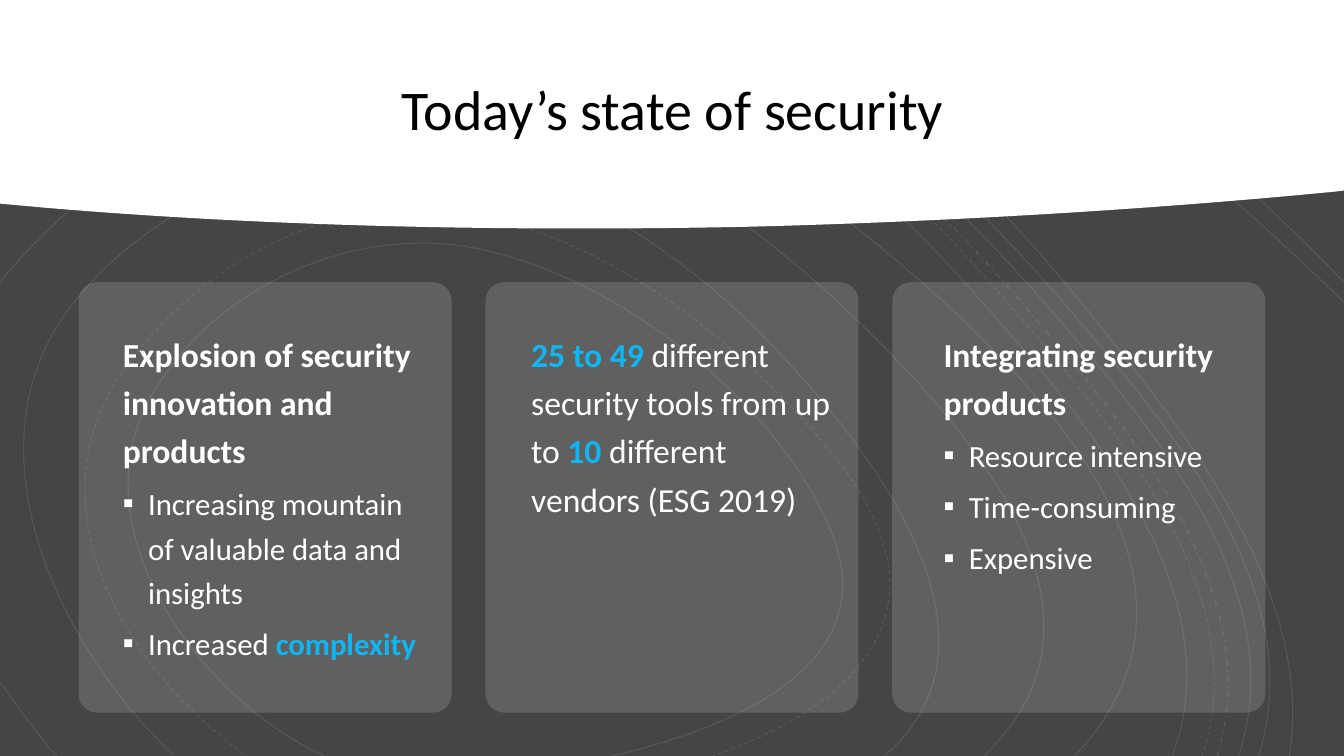
from lxml import etree
from pptx import Presentation
from pptx.dml.color import RGBColor
from pptx.enum.dml import MSO_LINE
from pptx.enum.shapes import MSO_SHAPE
from pptx.enum.text import MSO_ANCHOR, PP_ALIGN
from pptx.oxml.ns import qn
from pptx.util import Inches, Pt

WHITE = RGBColor(0xFF, 0xFF, 0xFF)
BLACK = RGBColor(0, 0, 0)
GREY = RGBColor(0x45, 0x45, 0x45)
BLUE = RGBColor(0x10, 0xB6, 0xF4)
SOLID, DASH, DOTTED = MSO_LINE.SOLID, MSO_LINE.DASH, MSO_LINE.DASH_DOT
RECT, ROUND = MSO_SHAPE.RECTANGLE, MSO_SHAPE.ROUNDED_RECTANGLE
TOP, MIDDLE = MSO_ANCHOR.TOP, MSO_ANCHOR.MIDDLE
LEFT, CENTER = PP_ALIGN.LEFT, PP_ALIGN.CENTER

# Each curve: dash, then a start point followed by triples of Bezier points
CURVES = [
    (SOLID, [(8.76, 7.51), (10.25, 6.25), (8.35, 4.09), (7.38, 3.15),
             (6.49, 2.3), (5.36, 1.64), (4.12, 1.53), (2.87, 1.41),
             (1.41, 2.08), (0.68, 3.07), (-0.36, 4.47), (0.6, 6.44), (1.72, 7.49)]),
    (SOLID, [(6.07, 7.5), (7.1, 7.26), (8.8, 6.67), (8.25, 5.29),
             (7.73, 3.99), (6.15, 2.78), (4.8, 2.48), (3.57, 2.2),
             (2.16, 2.81), (1.51, 3.91), (0.73, 5.24), (2, 6.95), (3.22, 7.5)]),
    (DASH, [(7.05, 7.51), (7.65, 7.29), (8.35, 6.96), (8.67, 6.38),
            (9.06, 5.68), (8.64, 4.95), (8.17, 4.4), (7.23, 3.29),
            (5.92, 2.27), (4.43, 2.09), (3.19, 1.95), (1.93, 2.67),
            (1.22, 3.68), (0.27, 5.04), (1.27, 6.68), (2.46, 7.51)]),
    (SOLID, [(9.75, 7.51), (11.3, 6.04), (9.5, 4.13), (8.38, 3.06),
             (7.32, 2.06), (6.03, 1.2), (4.58, 0.92), (2.84, 0.59), (1.11, 1.43), (0, 2.8)]),
    (SOLID, [(0, 6.76), (0.19, 7.04), (0.37, 7.28), (0.56, 7.5)]),
    (SOLID, [(10.65, 7.51), (12.13, 5.95), (10.67, 4.22), (9.44, 3.07),
             (8.17, 1.89), (6.67, 0.87), (4.98, 0.44), (2.98, -0.06), (1.52, 0.46), (0, 1.84)]),
    (SOLID, [(11.63, 7.49), (12.26, 5.81), (10.64, 4.01), (9.63, 2.87),
             (8.58, 1.7), (7.36, 0.66), (5.93, 0)]),
    (DASH, [(11.92, 7.51), (12.48, 5.86), (10.98, 4.15), (10, 3.01),
            (8.97, 1.81), (7.77, 0.73), (6.37, 0)]),
    (DOTTED, [(12.07, 7.51), (12.59, 5.85), (11.13, 4.17), (10.15, 3.02),
              (9.13, 1.83), (7.95, 0.75), (6.58, 0)]),
    (SOLID, [(12.28, 7.51), (12.83, 5.88), (11.44, 4.25), (10.46, 3.12),
             (9.41, 1.9), (8.2, 0.79), (6.79, -0.01)]),
    (SOLID, [(12.48, 7.51), (12.99, 5.9), (11.67, 4.32), (10.7, 3.18),
             (9.66, 1.95), (8.46, 0.83), (7.07, 0)]),
    (SOLID, [(12.79, 7.5), (13.03, 5.9), (11.82, 4.38), (10.9, 3.22),
             (9.93, 2), (8.81, 0.87), (7.52, 0)]),
    (SOLID, [(13.33, 3), (12.19, 1.88), (10.94, 0.85), (9.59, 0)]),
    (SOLID, [(13.33, 2.8), (12.2, 1.64), (11.12, 0.72), (10.1, 0)]),
]
# Header outline: straight corners, then the curved lower edge
CORNERS = [(0, 2.02), (0, 0), (13.33, 0), (13.33, 1.89), (13.25, 1.9)]
EDGE = [(11.09, 2.11), (9.01, 2.21), (7.39, 2.25),
        (5.4, 2.29), (2.91, 2.27), (0.44, 2.06)]

# Each card: text left, then paragraphs of (bullet, runs of (text, bold, colour))
CARDS = [
    (1.12, [(False, [("Explosion of security innovation and products", True, WHITE)]),
            (True, [("Increasing mountain of valuable data and insights", False, WHITE)]),
            (True, [("Increased ", False, WHITE), ("complexity", True, BLUE)])]),
    (5.17, [(False, [("25 to 49 ", True, BLUE),
                     ("different security tools from up to ", False, WHITE),
                     ("10", True, BLUE),
                     (" different vendors (ESG 2019)", False, WHITE)])]),
    (9.26, [(False, [("Integrating security products", True, WHITE)]),
            (True, [("Resource intensive", False, WHITE)]),
            (True, [("Time-consuming", False, WHITE)]),
            (True, [("Expensive", False, WHITE)])]),
]


class Deck:
    font = "Calibri"

    def __init__(self):
        self.prs = Presentation()
        self.prs.slide_width = Inches(13.33)
        self.prs.slide_height = Inches(7.5)
        self.slide = self.prs.slides.add_slide(self.prs.slide_layouts[6])

    def fade(self, shape, share):
        for tag in shape.element.spPr.iter(qn("a:srgbClr")):
            etree.SubElement(tag, qn("a:alpha")).set("val", str(share * 1000))

    def paint(self, shape, tint):
        shape.fill.solid()
        shape.fill.fore_color.rgb = tint
        shape.line.fill.background()

    def outline(self, knots, close=False, straight=0):
        """Draw straight lines first, then join each three points into a Bezier."""
        pts = [(Inches(x), Inches(y)) for x, y in knots]
        pen = self.slide.shapes.build_freeform(*pts[0])
        pen.add_line_segments(pts[1:], close=close)
        shape = pen.convert_to_shape()
        shape.shadow.inherit = False
        lines = list(shape.element.spPr.iter(qn("a:lnTo")))[straight:]
        for i in range(0, len(lines), 3):
            bend = etree.Element(qn("a:cubicBezTo"))
            lines[i].addprevious(bend)
            for line in lines[i:i + 3]:
                bend.append(line[0])
                line.getparent().remove(line)
        return shape

    def curve(self, dash, knots):
        shape = self.outline(knots)
        shape.fill.background()
        shape.line.color.rgb = WHITE
        shape.line.width = Pt(1 if dash == DOTTED else 0.75)
        shape.line.dash_style = dash
        self.fade(shape, 10)

    def band(self, corners, edge):
        self.paint(self.outline(corners + edge, True, len(corners) - 1), WHITE)

    def block(self, kind, box, tint):
        shape = self.slide.shapes.add_shape(kind, *map(Inches, box))
        shape.shadow.inherit = False
        self.paint(shape, tint)
        return shape

    def card(self, box):
        shape = self.block(ROUND, box, WHITE)
        shape.adjustments[0] = 0.05
        self.fade(shape, 15)

    def bullet(self, para):
        props = para._p.get_or_add_pPr()
        props.set("marL", str(Inches(0.25)))
        props.set("indent", str(-Inches(0.25)))
        tint = etree.SubElement(props, qn("a:buClr"))
        etree.SubElement(tint, qn("a:srgbClr")).set("val", str(WHITE))
        etree.SubElement(props, qn("a:buFont")).set("typeface", self.font)
        etree.SubElement(props, qn("a:buChar")).set("char", "▪")
        para.space_before = Pt(5)

    def text(self, box, paras, size=24, space=1.2, align=LEFT, anchor=TOP, pad=(0.1, 0.05)):
        frame = self.slide.shapes.add_textbox(*map(Inches, box)).text_frame
        frame.word_wrap = True
        frame.vertical_anchor = anchor
        frame.margin_left = frame.margin_right = Inches(pad[0])
        frame.margin_top = frame.margin_bottom = Inches(pad[1])
        for i, (mark, runs) in enumerate(paras):
            para = frame.add_paragraph() if i else frame.paragraphs[0]
            para.alignment = align
            para.line_spacing = space
            if mark:
                self.bullet(para)
            for words, bold, tint in runs:
                run = para.add_run()
                run.text = words
                run.font.name = self.font
                run.font.size = Pt(22 if mark else size)
                run.font.bold = bold
                run.font.color.rgb = tint


def main():
    deck = Deck()
    # Backdrop, curves and white header
    deck.block(RECT, (0, 0, 13.33, 7.5), GREY)
    for dash, knots in CURVES:
        deck.curve(dash, knots)
    deck.band(CORNERS, EDGE)
    # Title
    deck.text((0.94, 0.57, 11.46, 1.1), [(False, [("Today’s state of security", False, BLACK)])],
              size=40, space=0.85, align=CENTER, anchor=MIDDLE, pad=(0.25, 0.25))
    # Cards
    for i, (left, paras) in enumerate(CARDS):
        deck.card((0.78 + 4.035 * i, 2.8, 3.7, 4.27))
        deck.text((left, 3.18, 3.28, 3.87), paras)
    deck.prs.save("out.pptx")


if __name__ == "__main__":
    main()
